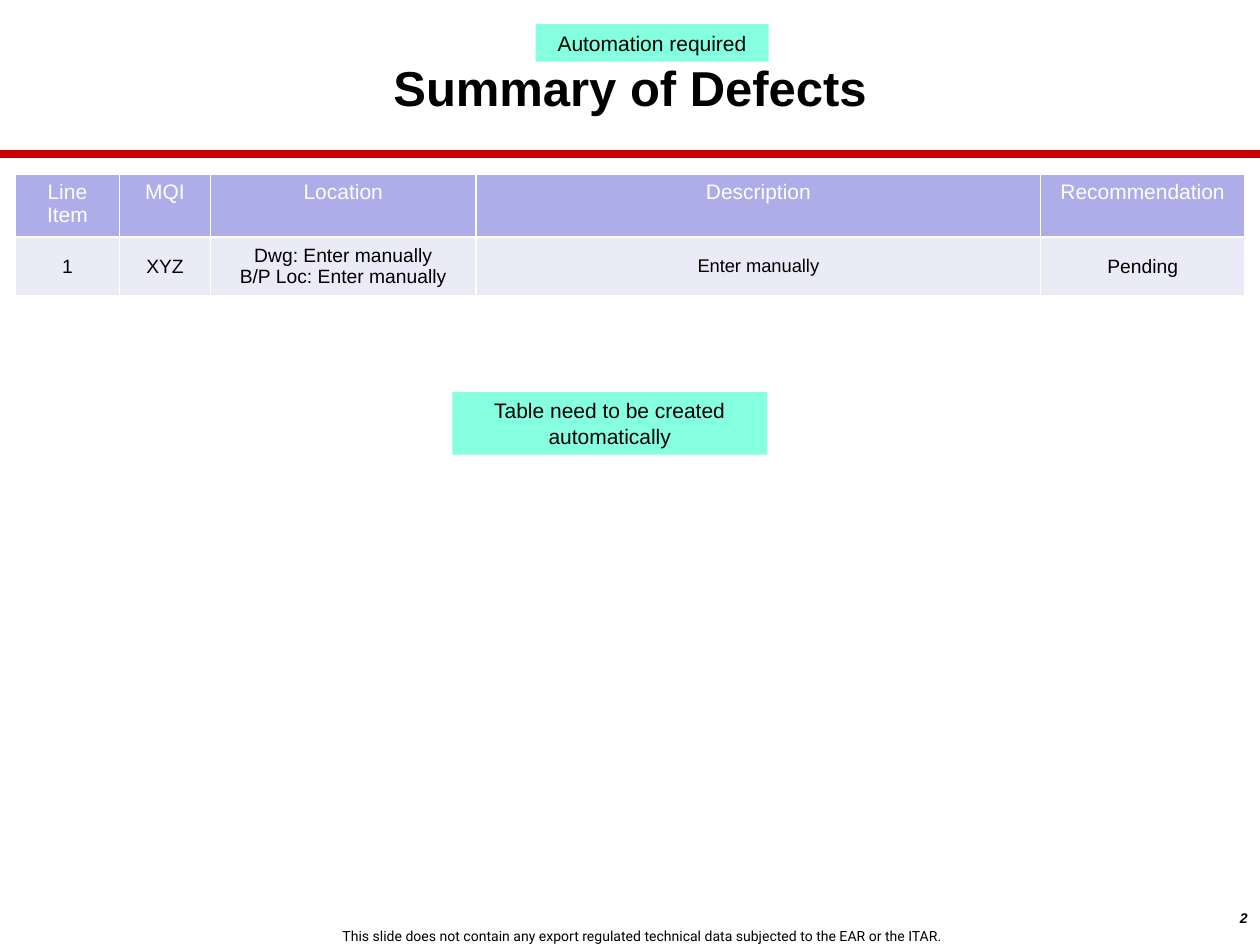
from lxml import etree
from pptx import Presentation
from pptx.dml.color import RGBColor
from pptx.enum import shapes, text
from pptx.oxml.ns import qn
from pptx.util import Inches, Pt

TITLE = "Summary of Defects"
FOOTER = ("This slide does not contain any export regulated technical data "
          "subjected to the EAR or the ITAR.")
PAGE = "2"
NOTES = [
    ("Automation required", (4.25, 0.19, 1.85, 0.3)),
    ("Table need to be created automatically", (3.59, 3.11, 2.5, 0.5)),
]
HEADERS = ["Line Item", "MQI", "Location", "Description", "Recommendation"]
DEFECT = ["1", "XYZ", "Dwg: Enter manually\nB/P Loc: Enter manually",
          "Enter manually", "Pending"]
COL_WIDTHS = [0.83, 0.72, 2.11, 4.48, 1.62]
ROW_HEIGHTS = [0.5, 0.47]
TABLE_LEFT, TABLE_TOP = 0.12, 1.38
RULE_Y = 1.22

BLACK, WHITE, RED, MINT = "000000", "FFFFFF", "CC0000", "85FFE0"
HEADER_FILL, BODY_FILL, FILL_ALPHA = "3333CC", "CECEEC", 40
CENTER, RIGHT = text.PP_ALIGN.CENTER, text.PP_ALIGN.RIGHT
TOP, MIDDLE = text.MSO_ANCHOR.TOP, text.MSO_ANCHOR.MIDDLE


def rgb(value):
    return RGBColor.from_string(value)


def write(tf, content, size=12, font="Arial", color=BLACK, bold=False,
          italic=False, align=CENTER, wrap=True):
    """Fill a text frame, one paragraph per line of content."""
    tf.word_wrap = wrap
    for i, line in enumerate(content.split("\n")):
        p = tf.add_paragraph() if i else tf.paragraphs[0]
        p.alignment = align
        r = p.add_run()
        r.text = line
        f = r.font
        f.size, f.name, f.bold, f.italic = Pt(size), font, bold, italic
        f.color.rgb = rgb(color)


def add_text(s, box, content, anchor=TOP, **fmt):
    tf = s.shapes.add_textbox(*map(Inches, box)).text_frame
    tf.vertical_anchor = anchor
    write(tf, content, **fmt)


def add_note(s, content, box):
    sp = s.shapes.add_shape(shapes.MSO_SHAPE.RECTANGLE, *map(Inches, box))
    sp.shadow.inherit = False
    sp.fill.solid()
    sp.fill.fore_color.rgb = rgb(MINT)
    sp.line.fill.background()
    sp.text_frame.vertical_anchor = TOP
    write(sp.text_frame, content)


def add_rule(s):
    line = s.shapes.add_connector(shapes.MSO_CONNECTOR.STRAIGHT, Inches(-0.01),
                                  Inches(RULE_Y), Inches(10), Inches(RULE_Y))
    line.line.color.rgb = rgb(RED)
    line.line.width = Pt(4.5)
    etree.SubElement(line._element.spPr, qn("a:effectLst"))


def style_cell(cell, fill):
    """Give a cell white borders and a see-through fill."""
    cell.fill.solid()
    cell.fill.fore_color.rgb = rgb(fill)
    props = cell._tc.get_or_add_tcPr()
    color = props.find(qn("a:solidFill")).find(qn("a:srgbClr"))
    etree.SubElement(color, qn("a:alpha"), val=str(FILL_ALPHA * 1000))
    for i, side in enumerate(("lnL", "lnR", "lnT", "lnB")):
        border = etree.Element(qn("a:" + side), w=str(Pt(1)))
        paint = etree.SubElement(border, qn("a:solidFill"))
        etree.SubElement(paint, qn("a:srgbClr"), val=WHITE)
        props.insert(i, border)


def add_defect_table(s):
    table = s.shapes.add_table(
        2, len(HEADERS), Inches(TABLE_LEFT), Inches(TABLE_TOP),
        Inches(sum(COL_WIDTHS)), Inches(sum(ROW_HEIGHTS))).table
    for row, height in zip(table.rows, ROW_HEIGHTS):
        row.height = Inches(height)
    for c, width in enumerate(COL_WIDTHS):
        table.columns[c].width = Inches(width)
        head, body = table.cell(0, c), table.cell(1, c)
        style_cell(head, HEADER_FILL)
        style_cell(body, BODY_FILL)
        body.vertical_anchor = MIDDLE
        write(head.text_frame, HEADERS[c], color=WHITE)
        write(body.text_frame, DEFECT[c],
              size=10.5 if HEADERS[c] == "Description" else 11)


def main():
    prs = Presentation()
    prs.slide_width, prs.slide_height = Inches(10), Inches(7.5)
    s = prs.slides.add_slide(prs.slide_layouts[6])
    add_rule(s)
    add_text(s, (2.59, 7.31, 5.02, 0.24), FOOTER, size=8, font="Roboto",
             wrap=False)
    add_text(s, (8.75, 7.17, 1.25, 0.33), PAGE, size=8, bold=True,
             italic=True, align=RIGHT)
    add_text(s, (1.96, 0.19, 6.08, 1), TITLE, anchor=MIDDLE, size=28,
             bold=True)
    add_defect_table(s)
    for content, box in NOTES:
        add_note(s, content, box)
    prs.save("out.pptx")


if __name__ == "__main__":
    main()
